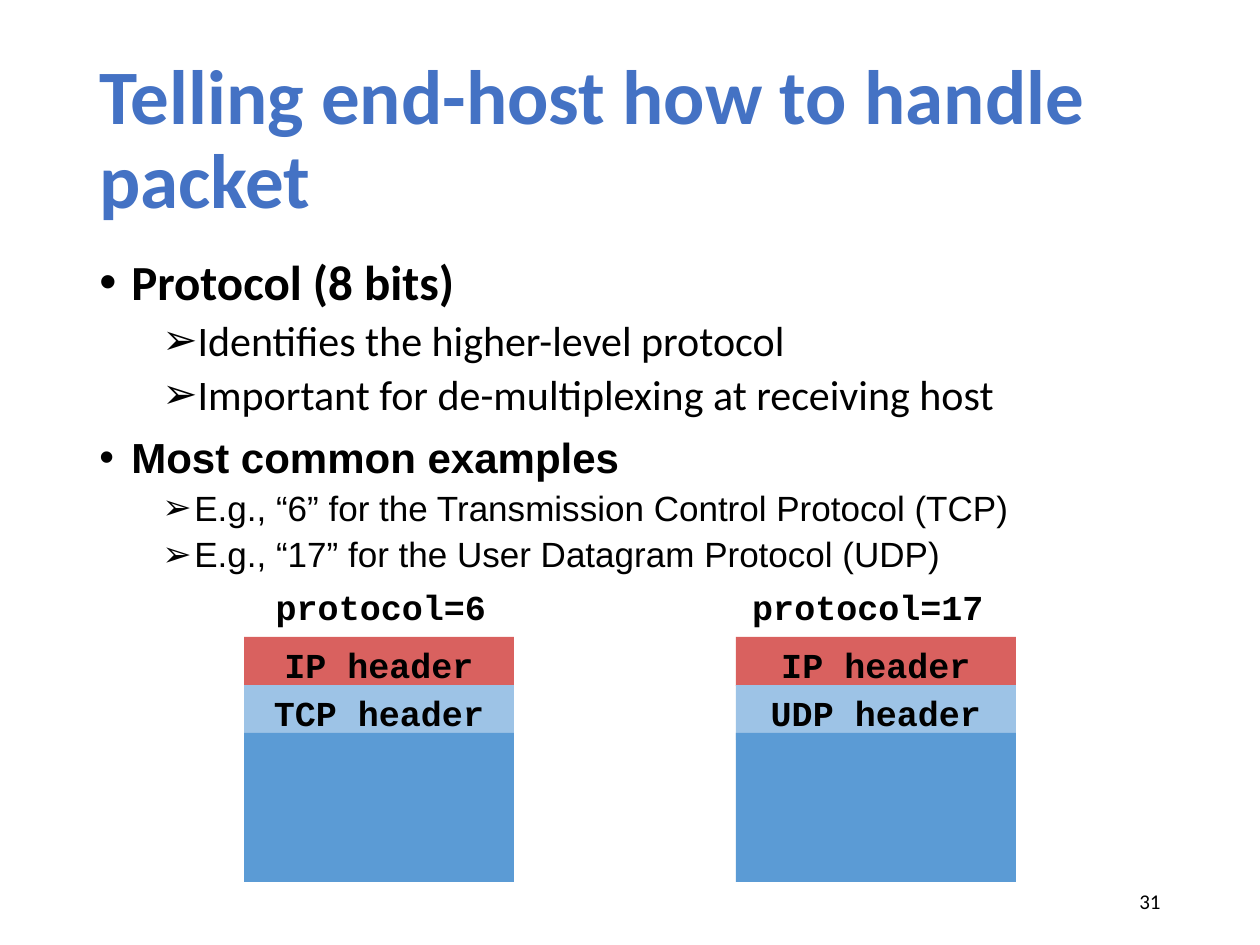
from lxml import etree
from pptx import Presentation
from pptx.dml.color import RGBColor
from pptx.enum.shapes import MSO_SHAPE
from pptx.enum.text import MSO_ANCHOR, MSO_AUTO_SIZE, PP_ALIGN
from pptx.oxml.ns import qn
from pptx.util import Emu, Pt

RECT = MSO_SHAPE.RECTANGLE
TOP, MIDDLE = MSO_ANCHOR.TOP, MSO_ANCHOR.MIDDLE
LEFT, CENTER, RIGHT = PP_ALIGN.LEFT, PP_ALIGN.CENTER, PP_ALIGN.RIGHT
GROW = MSO_AUTO_SIZE.SHAPE_TO_FIT_TEXT
FIXED = MSO_AUTO_SIZE.NONE
PX_PER_INCH = 126
SANS, ARIAL, MONO = "Calibri", "Arial", "Courier New"
BLACK, TITLE_BLUE = "000000", "4472C4"
IP_RED, TRANSPORT_BLUE, PAYLOAD_BLUE = "D9615F", "9DC3E6", "5B9BD5"


def px(length):
    return Emu(round(length * 914400 / PX_PER_INCH))


def color(hex_string):
    return RGBColor.from_string(hex_string)


def write(paragraph, text, font=SANS, size=20, bold=False, fill=BLACK,
          align=LEFT, line_spacing=None, before=0):
    paragraph.alignment = align
    paragraph.space_before = Pt(before)
    if line_spacing:
        paragraph.line_spacing = line_spacing
    run = paragraph.add_run()
    run.text = text
    run.font.name = font
    run.font.size = Pt(size)
    run.font.bold = bold
    run.font.color.rgb = color(fill)


def add_bullet(paragraph, mark, indent, hanging):
    properties = paragraph._p.get_or_add_pPr()
    properties.set("marL", str(px(indent)))
    properties.set("indent", str(-px(hanging)))
    etree.SubElement(properties, qn("a:buFont")).set("typeface", ARIAL)
    etree.SubElement(properties, qn("a:buChar")).set("char", mark)


class SlideBuilder:
    """Holds the style and the current slide."""

    packet_text = {"font": MONO, "size": 20, "bold": True, "align": CENTER}

    def __init__(self, slide):
        self.slide = slide

    def frame(self, box, anchor=TOP, wrap=True, auto_size=FIXED):
        frame = self.slide.shapes.add_textbox(*map(px, box)).text_frame
        frame.word_wrap = wrap
        frame.vertical_anchor = anchor
        frame.auto_size = auto_size
        return frame

    def text(self, box, text, anchor=MIDDLE, **style):
        write(self.frame(box, anchor).paragraphs[0], text, **style)

    def label(self, box, text):
        frame = self.frame(box, wrap=False, auto_size=GROW)
        write(frame.paragraphs[0], text, **self.packet_text)

    def outline(self, box, items):
        frame = self.frame(box)
        for index, (level, text, font, size) in enumerate(items):
            paragraph = frame.add_paragraph() if index else frame.paragraphs[0]
            paragraph.level = level
            add_bullet(paragraph, "➢" if level else "•", 95 if level else 32, 32)
            before = (5 if level else 10) if index else 0
            write(paragraph, text, font=font, size=size, bold=level == 0,
                  line_spacing=0.9, before=before)

    def block(self, box, fill, text=None):
        shape = self.slide.shapes.add_shape(RECT, *map(px, box))
        shape.shadow.inherit = False
        shape.fill.solid()
        shape.fill.fore_color.rgb = color(fill)
        shape.line.fill.background()
        if text:
            frame = shape.text_frame
            frame.word_wrap = True
            frame.vertical_anchor = TOP
            frame.auto_size = GROW
            write(frame.paragraphs[0], text, **self.packet_text)

    def packet(self, left, width, transport):
        self.block((left, 637, width, 49), IP_RED, "IP header")
        self.block((left, 685, width, 55), TRANSPORT_BLUE, f"{transport} header")
        self.block((left, 733, width, 149), PAYLOAD_BLUE)


def main():
    deck = Presentation()
    deck.slide_width, deck.slide_height = px(1260), px(945)
    builder = SlideBuilder(deck.slides.add_slide(deck.slide_layouts[6]))

    builder.text((87, 50, 1086, 183), "Telling end-host how to handle packet",
                 size=44, bold=True, fill=TITLE_BLUE, line_spacing=0.9)
    builder.outline((87, 252, 1086, 600), [
        (0, "Protocol (8 bits)", SANS, 28),
        (1, "Identifies the higher-level protocol", SANS, 24),
        (1, "Important for de-multiplexing at receiving host", SANS, 24),
        (0, "Most common examples", ARIAL, 24),
        (1, "E.g., “6” for the Transmission Control Protocol (TCP)", ARIAL, 20),
        (1, "E.g., “17” for the User Datagram Protocol (UDP)", ARIAL, 20),
    ])
    builder.packet(244, 270, "TCP")
    builder.packet(736, 280, "UDP")
    builder.label((261, 579, 240, 49), "protocol=6")
    builder.label((736, 579, 264, 49), "protocol=17")
    builder.text((890, 876, 283, 50), "31", size=12, align=RIGHT)

    deck.save("out.pptx")


if __name__ == "__main__":
    main()
